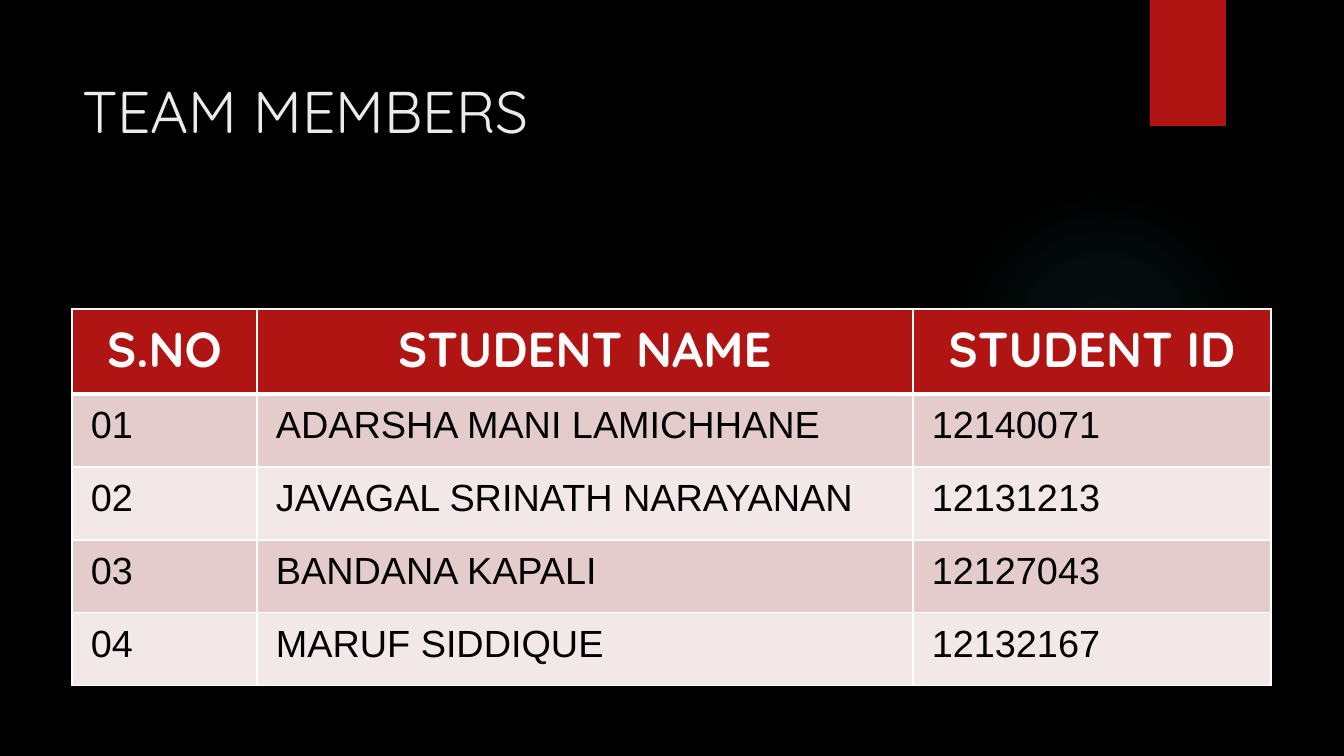
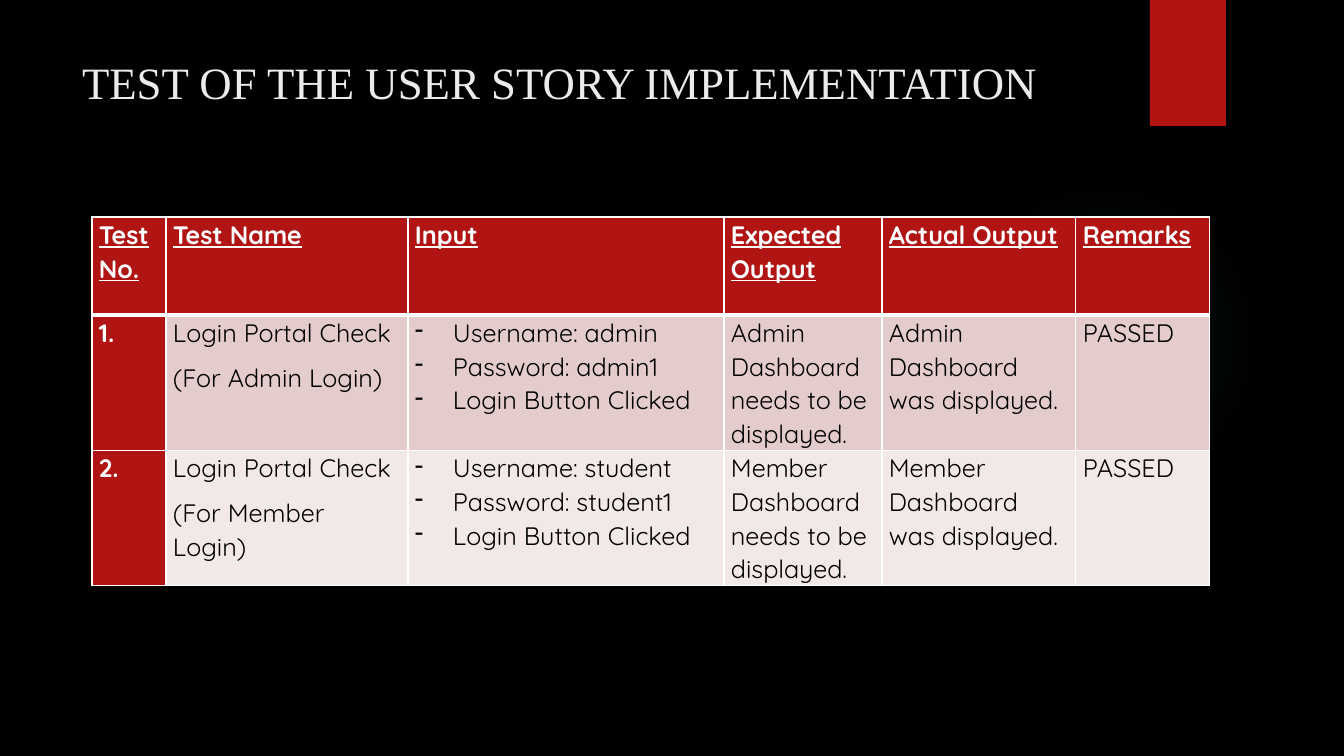
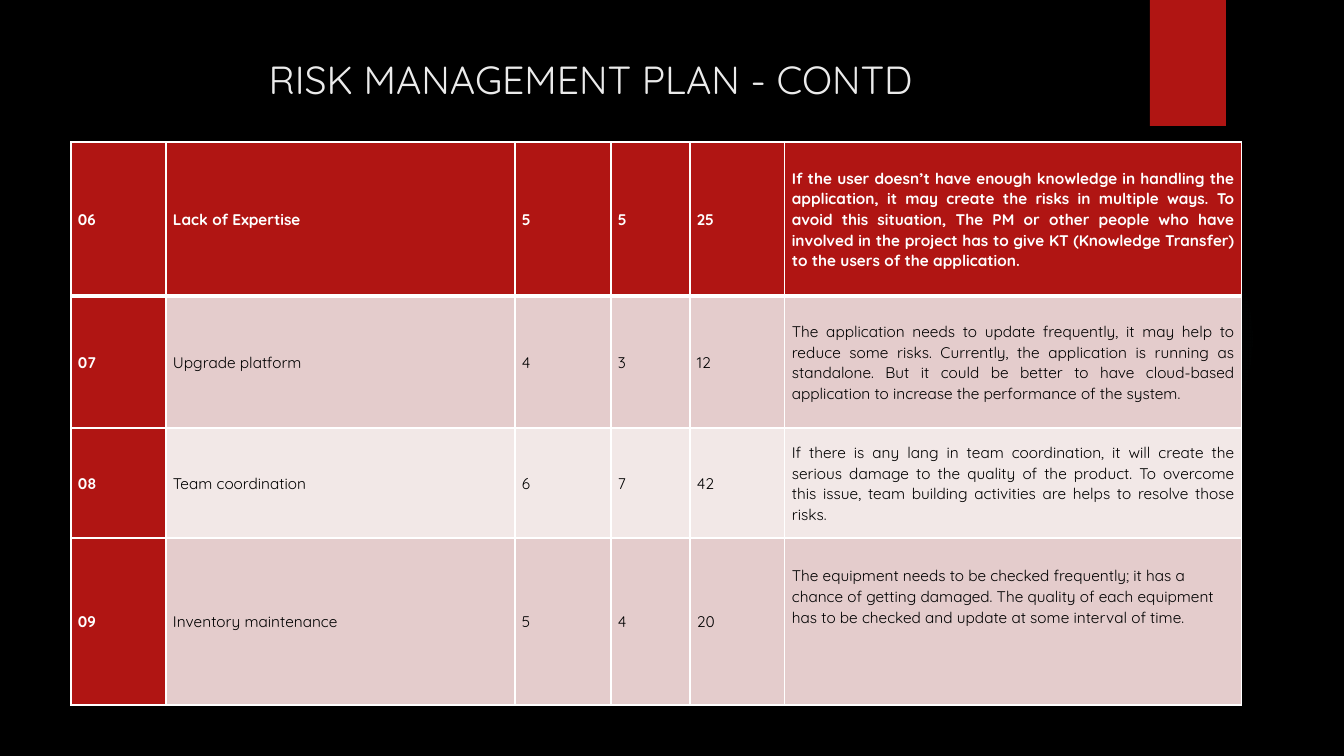
from dataclasses import dataclass

import pptx
import pptx.dml.color
import pptx.enum.shapes
import pptx.enum.text
import pptx.oxml
import pptx.oxml.ns
import pptx.util

PX = 12192000 / 1344
ALIGN = pptx.enum.text.PP_ALIGN
ANCHOR = pptx.enum.text.MSO_ANCHOR
SHAPES = pptx.enum.shapes.MSO_SHAPE


@dataclass(frozen=True)
class Theme:
    background: str = "000000"
    accent: str = "B01513"
    glow: str = "50B9C1"
    title: str = "EBEBEB"
    light: str = "FFFFFF"
    dark: str = "000000"
    bands: tuple = ("E4CCCC", "F2E8E7")
    font: str = "Quicksand"
    plain_font: str = "Arial"
    serif_font: str = "Times New Roman"
    title_sizes: tuple = (42, 32, 28)
    team_sizes: tuple = (35, 27)
    test_size: int = 18
    risk_size: int = 11
    thin: int = 1
    thick: int = 3


theme = Theme()


def px(*lengths):
    return [pptx.util.Emu(round(length * PX)) for length in lengths]


def write(text_frame, text, size, color, font=theme.font, bold=False, underline=False,
          align=ALIGN.LEFT, spacing=None, after=0, dashed=False):
    """Write one paragraph per line of text; dashed paragraphs are spaced as one list."""
    lines = text.split("\n")
    for index, line in enumerate(lines):
        paragraph = text_frame.paragraphs[0] if index == 0 else text_frame.add_paragraph()
        if dashed:
            properties = paragraph._p.get_or_add_pPr()
            indent = px(38)[0]
            properties.set("marL", str(indent))
            properties.set("indent", str(-indent))
            properties.append(pptx.oxml.parse_xml(
                f'<a:buChar {pptx.oxml.ns.nsdecls("a")} char="-"/>'))
        paragraph.alignment = align
        if spacing:
            paragraph.line_spacing = spacing
        last = index == len(lines) - 1
        paragraph.space_after = pptx.util.Pt(after if last or not dashed else 0)
        run = paragraph.add_run()
        run.text = line
        run.font.name = font
        run.font.size = pptx.util.Pt(size)
        run.font.bold = bold
        run.font.underline = underline
        run.font.color.rgb = pptx.dml.color.RGBColor.from_string(color)


compact = dict(spacing=1.07, after=8)
pages = [
    dict(
        title="TEAM MEMBERS", title_box=(72, 70, 1020, 112), title_font=theme.font,
        title_align=ALIGN.LEFT,
        origin=(72, 309), columns=(185, 656, 358), rows=(85, 73, 73, 73, 73),
        margins=(19, 10), anchor=ANCHOR.TOP, head_column=False,
        head=dict(size=theme.team_sizes[0], align=ALIGN.CENTER),
        body=dict(size=theme.team_sizes[1], font=theme.plain_font),
        column_format={},
        cells=[
            ("S.NO", "STUDENT NAME", "STUDENT ID"),
            ("01", "ADARSHA MANI LAMICHHANE", "12140071"),
            ("02", "JAVAGAL SRINATH NARAYANAN", "12131213"),
            ("03", "BANDANA KAPALI", "12127043"),
            ("04", "MARUF SIDDIQUE", "12132167"),
        ],
    ),
    dict(
        title="TEST OF THE USER STORY IMPLEMENTATION", title_box=(72, 50, 1037, 93),
        title_font=theme.serif_font, title_align=ALIGN.LEFT,
        origin=(92, 217), columns=(74, 242, 316, 158, 194, 134), rows=(98, 135, 135),
        margins=(7, 0), anchor=ANCHOR.TOP, head_column=True,
        head=dict(size=theme.test_size, underline=True, **compact),
        body=dict(size=theme.test_size, **compact),
        column_format={2: dict(dashed=True)},
        cells=[
            ("Test No.", "Test Name", "Input", "Expected Output", "Actual Output", "Remarks"),
            ("1.", "Login Portal Check\n(For Admin Login)",
             "Username: admin\nPassword: admin1\nLogin Button Clicked",
             "Admin Dashboard needs to be displayed.", "Admin Dashboard was displayed.",
             "PASSED"),
            ("2.", "Login Portal Check\n(For Member Login)",
             "Username: student\nPassword: student1\nLogin Button Clicked",
             "Member Dashboard needs to be displayed.", "Member Dashboard was displayed.",
             "PASSED"),
        ],
    ),
    dict(
        title="RISK MANAGEMENT PLAN - CONTD", title_box=(72, 50, 1037, 48),
        title_font=theme.font, title_align=ALIGN.CENTER,
        origin=(71, 142), columns=(95, 349, 96, 79, 95, 457), rows=(154, 132, 110, 167),
        margins=(7, 0), anchor=ANCHOR.MIDDLE, head_column=True,
        head=dict(size=theme.risk_size, **compact),
        body=dict(size=theme.risk_size, **compact),
        column_format={5: dict(align=ALIGN.JUSTIFY)},
        cells=[
            ("06", "Lack of Expertise", "5", "5", "25",
             "If the user doesn’t have enough knowledge in handling the application, it may "
             "create the risks in multiple ways. To avoid this situation, The PM or other "
             "people who have involved in the project has to give KT (Knowledge Transfer) to "
             "the users of the application."),
            ("07", "Upgrade platform", "4", "3", "12",
             "The application needs to update frequently, it may help to reduce some risks. "
             "Currently, the application is running as standalone. But it could be better to "
             "have cloud-based application to increase the performance of the system."),
            ("08", "Team coordination", "6", "7", "42",
             "If there is any lang in team coordination, it will create the serious damage to "
             "the quality of the product. To overcome this issue, team building activities are "
             "helps to resolve those risks."),
            ("09", "Inventory maintenance", "5", "4", "20",
             "The equipment needs to be checked frequently; it has a chance of getting damaged. "
             "The quality of each equipment has to be checked and update at some interval of "
             "time."),
        ],
    ),
]

presentation = pptx.Presentation()
presentation.slide_width, presentation.slide_height = px(1344, 756)
master_fill = presentation.slide_master.background.fill
master_fill.solid()
master_fill.fore_color.rgb = pptx.dml.color.RGBColor.from_string(theme.background)
layout = presentation.slide_layouts[5]
slides = [presentation.slides.add_slide(layout) for page in pages]

# The glow and the band are drawn once and moved to the shared layout.
glow = slides[0].shapes.add_shape(SHAPES.OVAL, *px(949, 184, 310, 310))
band = slides[0].shapes.add_shape(SHAPES.RECTANGLE, *px(1150, 0, 76, 126))
band.fill.solid()
band.fill.fore_color.rgb = pptx.dml.color.RGBColor.from_string(theme.accent)
stops = "".join(
    f'<a:gs pos="{position}000"><a:srgbClr val="{theme.glow}">'
    f'<a:alpha val="{alpha}000"/></a:srgbClr></a:gs>'
    for position, alpha in ((0, 7), (36, 6), (69, 0)))
glow.fill.background()
no_fill = glow._element.spPr.find(pptx.oxml.ns.qn("a:noFill"))
glow._element.spPr.replace(no_fill, pptx.oxml.parse_xml(
    f'<a:gradFill {pptx.oxml.ns.nsdecls("a")}><a:gsLst>{stops}</a:gsLst><a:path path="circle">'
    '<a:fillToRect l="50000" t="50000" r="50000" b="50000"/></a:path></a:gradFill>'))
for shape in (glow, band):
    shape.line.fill.background()
    shape.shadow.inherit = False
    layout.shapes._spTree.append(shape._element)

for slide, page, title_size in zip(slides, pages, theme.title_sizes):
    title = slide.shapes.title
    title.left, title.top, title.width, title.height = px(*page["title_box"])
    title.text_frame.word_wrap = True
    title.text_frame.auto_size = pptx.enum.text.MSO_AUTO_SIZE.NONE
    title.text_frame.vertical_anchor = ANCHOR.TOP
    write(title.text_frame, page["title"], title_size, theme.title,
          font=page["title_font"], align=page["title_align"])

    columns, rows = page["columns"], page["rows"]
    table = slide.shapes.add_table(
        len(rows), len(columns), *px(*page["origin"], sum(columns), sum(rows))).table
    table.first_row = table.horz_banding = False
    for column, width in zip(table.columns, px(*columns)):
        column.width = width
    for row, height in zip(table.rows, px(*rows)):
        row.height = height

    for row_index, texts in enumerate(page["cells"]):
        for column_index, text in enumerate(texts):
            cell = table.cell(row_index, column_index)
            in_head = row_index == 0
            accented = in_head or (page["head_column"] and column_index == 0)
            side, edge = px(*page["margins"])
            cell.margin_left = cell.margin_right = side
            cell.margin_top = cell.margin_bottom = edge
            cell.vertical_anchor = page["anchor"]

            widths = dict(lnL=theme.thin, lnR=theme.thin,
                          lnT=theme.thick if row_index == 1 else theme.thin,
                          lnB=theme.thick if in_head else theme.thin)
            for tag, width in widths.items():
                cell._tc.get_or_add_tcPr().append(pptx.oxml.parse_xml(
                    f'<a:{tag} {pptx.oxml.ns.nsdecls("a")} w="{pptx.util.Pt(width)}"><a:solidFill>'
                    f'<a:srgbClr val="{theme.light}"/></a:solidFill></a:{tag}>'))
            cell.fill.solid()
            cell.fill.fore_color.rgb = pptx.dml.color.RGBColor.from_string(
                theme.accent if accented else theme.bands[(row_index - 1) % 2])

            text_format = dict(page["head"] if in_head else page["body"])
            column_format = page["column_format"].get(column_index, {})
            if not in_head or "align" in column_format:
                text_format.update(column_format)
            write(cell.text_frame, text, bold=accented,
                  color=theme.light if accented else theme.dark, **text_format)

# The closing risk note is ragged and sits above the middle of its row.
closing_note = table.cell(len(rows) - 1, len(columns) - 1)
closing_note.vertical_anchor = ANCHOR.TOP
closing_note.margin_top = px(27)[0]
closing_note.text_frame.paragraphs[0].alignment = ALIGN.LEFT

presentation.save("out.pptx")
